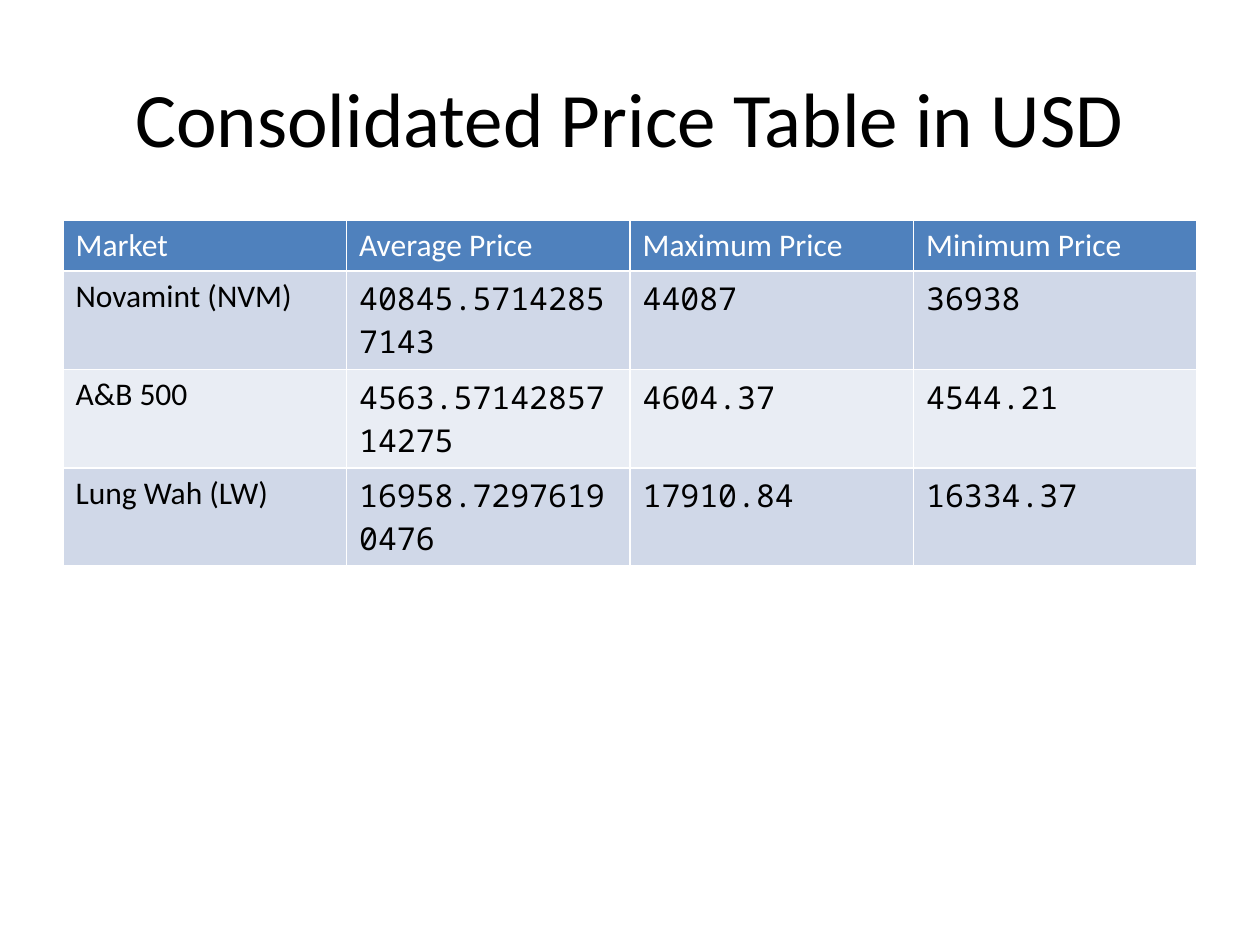
import pptx
import pptx.dml.color
import pptx.enum.text
import pptx.util

Pt = pptx.util.Pt

COLORS = {
    "black": "000000",
    "white": "FFFFFF",
    "header": "4F81BD",
    "odd_row": "D0D8E8",
    "even_row": "E9EDF4",
}
TEXT_FONT = "Calibri"
NUMBER_FONT = "Noto Sans Mono"
HEADER_HEIGHT = 28.8
ROW_HEIGHT = 56.25
COLUMN_WIDTH = 162

PRICES = [
    ["Market", "Average Price", "Maximum Price", "Minimum Price"],
    ["Novamint (NVM)", "40845.57142857143", "44087", "36938"],
    ["A&B 500", "4563.5714285714275", "4604.37", "4544.21"],
    ["Lung Wah (LW)", "16958.72976190476", "17910.84", "16334.37"],
]


def rgb(name):
    return pptx.dml.color.RGBColor.from_string(COLORS[name])


def set_text(text_frame, text, size, color, font_name=TEXT_FONT):
    text_frame.text = text
    font = text_frame.paragraphs[0].runs[0].font
    font.name = font_name
    font.size = Pt(size)
    font.bold = False
    font.color.rgb = rgb(color)


def add_title(slide, text):
    title = slide.shapes.add_textbox(Pt(36), Pt(21.6), Pt(648), Pt(90))
    text_frame = title.text_frame
    text_frame.word_wrap = True
    text_frame.vertical_anchor = pptx.enum.text.MSO_ANCHOR.MIDDLE
    set_text(text_frame, text, 44, "black")
    text_frame.paragraphs[0].alignment = pptx.enum.text.PP_ALIGN.CENTER


def add_price_table(slide, rows):
    """Add the table; the default table style supplies its white borders."""
    column_count = len(rows[0])
    height = HEADER_HEIGHT + ROW_HEIGHT * (len(rows) - 1)
    table = slide.shapes.add_table(
        len(rows), column_count, Pt(36), Pt(126),
        Pt(COLUMN_WIDTH * column_count), Pt(height)).table
    for column in table.columns:
        column.width = Pt(COLUMN_WIDTH)
    for row_index, values in enumerate(rows):
        is_header = row_index == 0
        table.rows[row_index].height = Pt(HEADER_HEIGHT if is_header else ROW_HEIGHT)
        if is_header:
            fill = "header"
        else:
            fill = "odd_row" if row_index % 2 else "even_row"
        for column_index, value in enumerate(values):
            cell = table.cell(row_index, column_index)
            cell.fill.solid()
            cell.fill.fore_color.rgb = rgb(fill)
            is_number = not is_header and column_index > 0
            set_text(cell.text_frame, value, 18,
                     "white" if is_header else "black",
                     NUMBER_FONT if is_number else TEXT_FONT)


def main():
    presentation = pptx.Presentation()
    presentation.slide_width = Pt(720)
    presentation.slide_height = Pt(540)
    slide = presentation.slides.add_slide(presentation.slide_layouts[6])
    add_title(slide, "Consolidated Price Table in USD")
    add_price_table(slide, PRICES)
    presentation.save("out.pptx")


if __name__ == "__main__":
    main()
